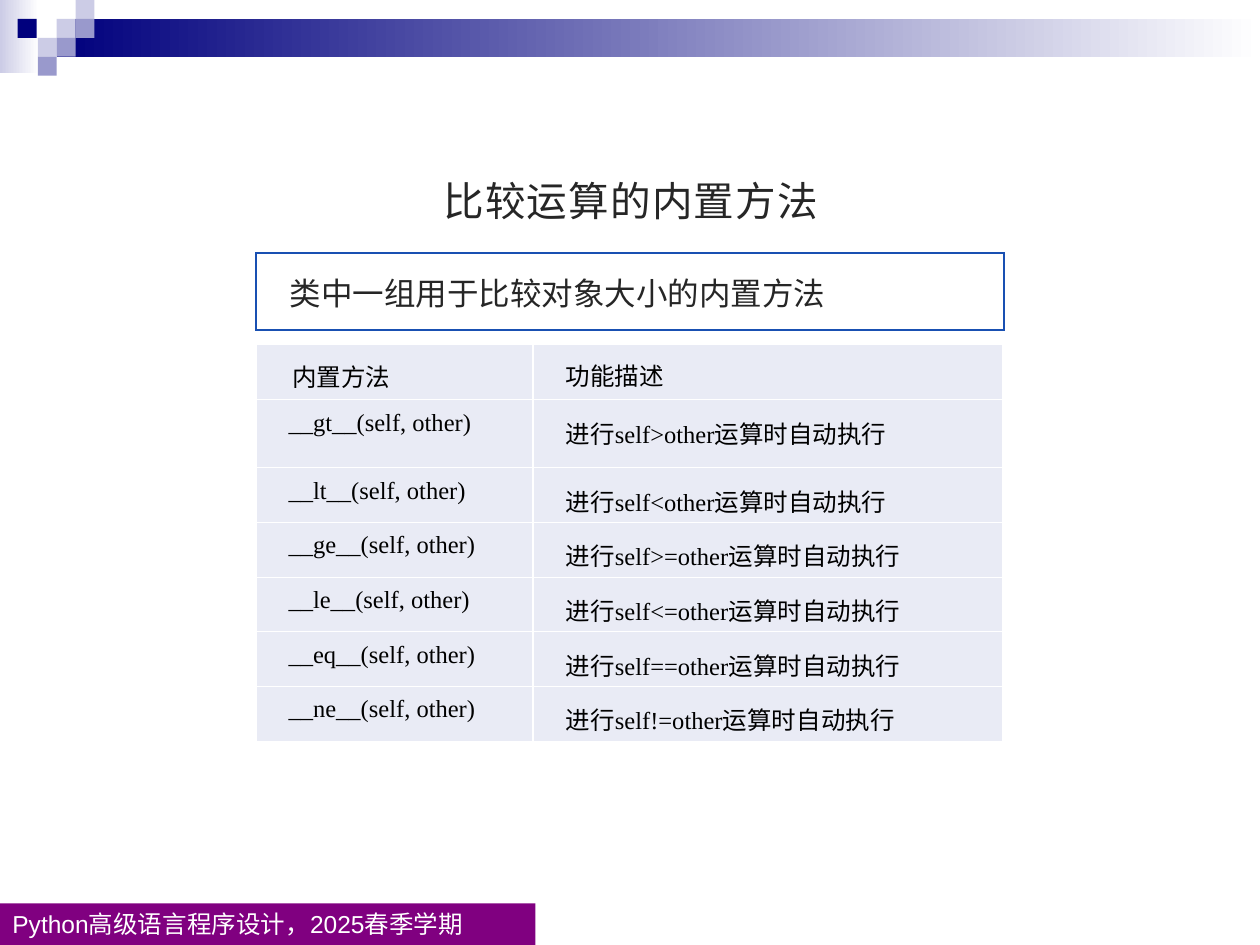
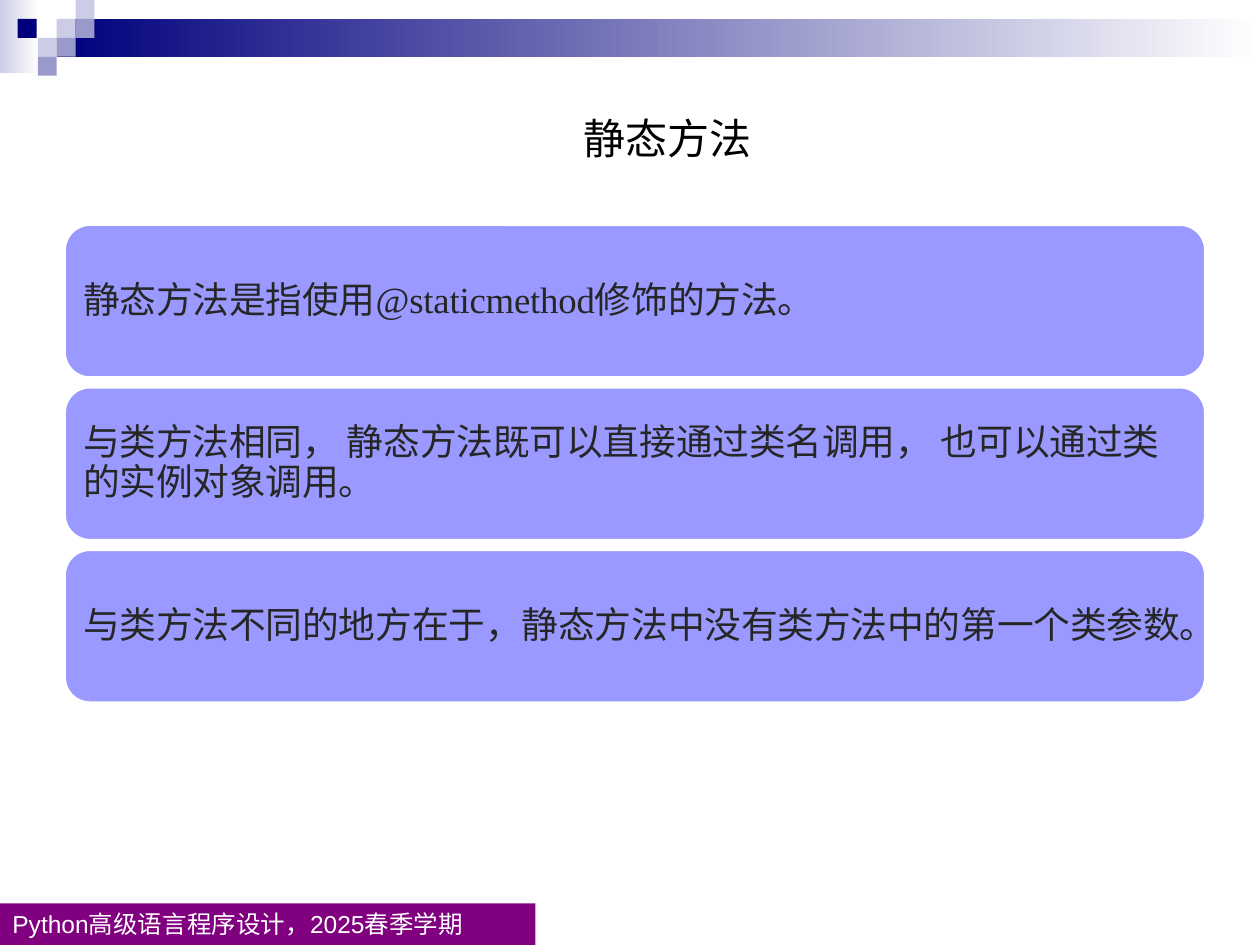
from dataclasses import dataclass

import lxml.etree
import pptx
import pptx.dml.color
import pptx.enum.shapes
import pptx.enum.text
import pptx.oxml.ns
import pptx.util

Inches = pptx.util.Inches
Pt = pptx.util.Pt
Kind = pptx.enum.shapes.MSO_SHAPE
Anchor = pptx.enum.text.MSO_ANCHOR
Align = pptx.enum.text.PP_ALIGN
qn = pptx.oxml.ns.qn

# Shared look
HAN, TIMES, ARIAL = "Noto Sans CJK SC", "Times New Roman", "Arial"
WHITE, BLACK, INK = "FFFFFF", "000000", "262626"
NAVY, PALE, MID = "00007D", "CCCCE6", "9999CC"
PURPLE, LILAC, BLUE, CELL = "800080", "9999FF", "1950B2", "E9EBF5"
FOOTER = "Python高级语言程序设计，2025春季学期"


@dataclass(frozen=True)
class Box:
    left: float
    top: float
    width: float
    height: float

    def place(self) -> tuple:
        return tuple(Inches(n) for n in (self.left, self.top, self.width, self.height))


@dataclass(frozen=True)
class Style:
    size: float
    color: str
    latin: str = HAN
    track: float = 0
    lead: float = 1


@dataclass(frozen=True)
class Tile:
    box: Box
    color: str
    fade: bool = False


TILES = [
    Tile(Box(0, 0, 0.31, 0.58), PALE, True),
    Tile(Box(0.45, 0.15, 9.55, 0.3), NAVY, True),
    *(Tile(Box(x, y, 0.15, 0.15), color) for x, y, color in [
        (0.45, 0.15, PALE), (0.6, 0, PALE), (0.6, 0.15, MID),
        (0.3, 0.3, PALE), (0.14, 0.15, NAVY), (0.45, 0.3, MID),
        (0.3, 0.45, MID),
    ]),
]

BODY = Style(14, BLACK)
CODE = Style(14, BLACK, TIMES)


def rgb(color: str) -> pptx.dml.color.RGBColor:
    return pptx.dml.color.RGBColor.from_string(color)


def write(frame, text: str, style: Style) -> None:
    """Fill a text frame with one left-aligned paragraph."""
    line = frame.paragraphs[0]
    line.text = text
    line.alignment = Align.LEFT
    line.line_spacing = style.lead
    font = line.font
    font.size = Pt(style.size)
    font.name = style.latin
    font.color.rgb = rgb(style.color)
    props = font._element if hasattr(font, "_element") else font._rPr
    if style.track:
        props.set("spc", str(round(style.track * 100)))
    lxml.etree.SubElement(props, qn("a:ea")).set("typeface", HAN)


def pad(item, left: float, top: float, right: float, bottom: float) -> None:
    """Set the inner margins of a text frame or a cell."""
    item.margin_left, item.margin_top = Inches(left), Inches(top)
    item.margin_right, item.margin_bottom = Inches(right), Inches(bottom)


def draw(slide, kind, box: Box, color: str, fade: bool = False):
    """Add a plain shape; a fading one runs to white on the right."""
    shape = slide.shapes.add_shape(kind, *box.place())
    shape.shadow.inherit = False
    shape.line.fill.background()
    if fade:
        shape.fill.gradient()
        shape.fill.gradient_angle = 0
        for stop, tint in zip(shape.fill.gradient_stops, (color, WHITE)):
            stop.color.rgb = rgb(tint)
    else:
        shape.fill.solid()
        shape.fill.fore_color.rgb = rgb(color)
    return shape


def label(slide, box: Box, text: str, style: Style, inset: tuple) -> None:
    frame = slide.shapes.add_textbox(*box.place()).text_frame
    frame.word_wrap = False
    pad(frame, *inset)
    write(frame, text, style)


def edge(cell, color: str, side: float, level: float) -> None:
    """Give a cell its four borders: side widths, then top and bottom."""
    props = cell._tc.get_or_add_tcPr()
    for spot, (name, width) in enumerate(zip("LRTB", (side, side, level, level))):
        line = lxml.etree.Element(qn(f"a:ln{name}"), w=str(int(Pt(width))))
        fill = lxml.etree.SubElement(line, qn("a:solidFill"))
        lxml.etree.SubElement(fill, qn("a:srgbClr"), val=color)
        props.insert(spot, line)


def grid(slide, box: Box, cols: list[float], rows: list[float]):
    table = slide.shapes.add_table(len(rows), len(cols), *box.place()).table
    table.first_row = table.horz_banding = False
    for col, width in zip(table.columns, cols):
        col.width = Inches(width)
    for row, height in zip(table.rows, rows):
        row.height = Inches(height)
    return table


def start(deck):
    """Add a slide with the header tiles and the footer band."""
    slide = deck.slides.add_slide(deck.slide_layouts[6])
    for tile in TILES:
        draw(slide, Kind.RECTANGLE, tile.box, tile.color, tile.fade)
    frame = draw(slide, Kind.RECTANGLE, Box(0, 7.17, 4.25, 0.33), PURPLE).text_frame
    frame.word_wrap = True
    frame.vertical_anchor = Anchor.MIDDLE
    pad(frame, 0.1, 0, 0.1, 0)
    write(frame, FOOTER, Style(14, WHITE, ARIAL))
    return slide


def compare(deck) -> None:
    """Built-in methods for comparing objects."""
    slide = start(deck)

    # Method table
    signs = {"gt": ">", "lt": "<", "ge": ">=", "le": "<=", "eq": "==", "ne": "!="}
    lines = [("内置方法", "功能描述")]
    lines += [(f"__{name}__(self, other)", f"进行self{sign}other运算时自动执行")
              for name, sign in signs.items()]
    rows = [0.44, 0.54] + [2.17 / 5] * 5
    table = grid(slide, Box(2.03, 2.73, 5.93, 3.15), [2.2, 3.73], rows)
    for i, texts in enumerate(lines):
        head = i == 0
        tops = (0.11, 0.1) if head else (0.08, 0.12)
        lefts = (0.29, 0.26) if head else (0.26, 0.26)
        for j, text in enumerate(texts):
            cell = table.cell(i, j)
            cell.fill.solid()
            cell.fill.fore_color.rgb = rgb(CELL)
            edge(cell, WHITE, 1, 0.25)
            pad(cell, lefts[j], tops[j], 0, 0)
            write(cell.text_frame, text, BODY if head else CODE)

    # Framed summary
    cell = grid(slide, Box(2.03, 2.01, 5.94, 0.61), [5.94], [0.61]).cell(0, 0)
    cell.fill.background()
    edge(cell, BLUE, 1, 1)
    pad(cell, 0.27, 0, 0, 0)
    cell.vertical_anchor = Anchor.MIDDLE
    write(cell.text_frame, "类中一组用于比较对象大小的内置方法", Style(18, INK))

    # Title
    label(slide, Box(3.52, 1.4, 3, 0.41), "比较运算的内置方法",
          Style(23.2, INK, track=0.7), (0, 0, 0, 0))


def static(deck) -> None:
    """Three cards on static methods."""
    slide = start(deck)
    label(slide, Box(4.53, 0.84, 2.36, 0.51), "静态方法",
          Style(24, BLACK), (0.1, 0.05, 0.1, 0.05))

    # Cards
    notes = [
        ("静态方法是指使用@staticmethod修饰的方法。", TIMES),
        ("与类方法相同， 静态方法既可以直接通过类名调用， 也可以通过类的实例对象调用。", HAN),
        ("与类方法不同的地方在于，静态方法中没有类方法中的第一个类参数。", HAN),
    ]
    for i, (text, latin) in enumerate(notes):
        card = draw(slide, Kind.ROUNDED_RECTANGLE,
                    Box(0.51, 1.78 + 1.29 * i, 9.06, 1.22), LILAC)
        card.line.color.rgb = rgb(WHITE)
        card.line.width = Pt(2)
        frame = card.text_frame
        frame.word_wrap = True
        frame.vertical_anchor = Anchor.MIDDLE
        pad(frame, 0.09, 0.09, 0.09, 0.09)
        write(frame, text, Style(21, INK, latin, -0.1, 0.9))


def main() -> None:
    deck = pptx.Presentation()
    deck.slide_width, deck.slide_height = Inches(10), Inches(7.5)
    compare(deck)
    static(deck)
    deck.save("out.pptx")


if __name__ == "__main__":
    main()
